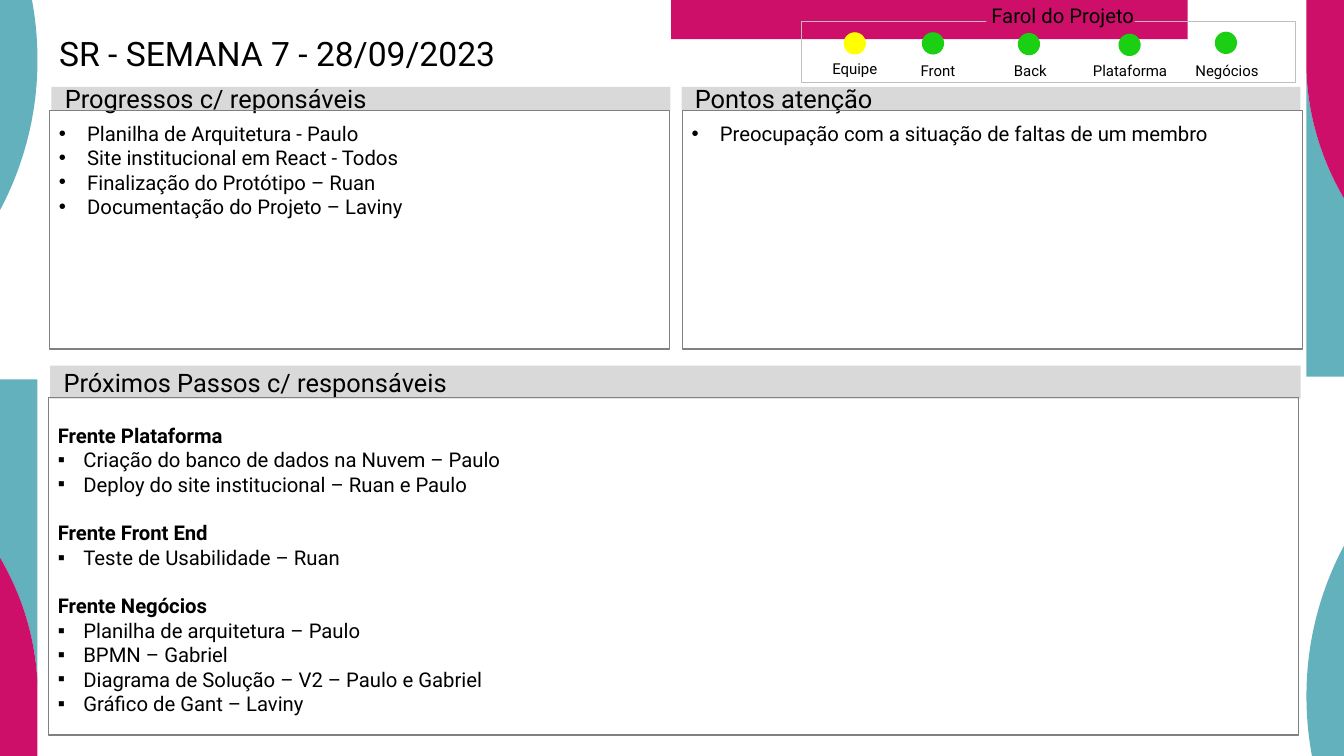
from dataclasses import dataclass

from lxml.etree import SubElement
from pptx import Presentation
from pptx.dml.color import RGBColor
from pptx.enum.shapes import MSO_SHAPE as Preset
from pptx.enum.text import MSO_ANCHOR as Anchor, PP_ALIGN as Align
from pptx.oxml.ns import qn
from pptx.util import Inches, Pt


@dataclass(frozen=True)
class Theme:
    font: str = "Roboto"
    bullet_font: str = "Arial"
    ink: str = "000000"
    teal: str = "63B1BC"
    magenta: str = "CE0F69"
    header: str = "D9D9D9"
    border: str = "808080"
    soft_border: str = "BFBFBF"
    green: str = "1BCF13"
    yellow: str = "FFFF00"
    title_size: float = 26.5
    header_size: float = 20
    body_size: float = 16
    label_size: float = 11.8


THEME = Theme()
WIDTH, HEIGHT = Inches(14.7), Inches(8.27)

INSETS = ("margin_left", "margin_top", "margin_right", "margin_bottom")
TITLE_FRAME = dict(zip(INSETS, (Pt(8.4), 0, Pt(8.4), 0)),
                   vertical_anchor=Anchor.TOP, word_wrap=True)
HEADER_FRAME = dict(zip(INSETS, (Pt(10.5), Pt(5), Pt(10.5), Pt(5))),
                    vertical_anchor=Anchor.MIDDLE, word_wrap=True)
BODY_FRAME = dict(zip(INSETS, (Pt(7.3), Pt(8.4), Pt(7.3), Pt(3.7))),
                  vertical_anchor=Anchor.TOP, word_wrap=True)
LABEL_FRAME = dict(zip(INSETS, (Pt(4), Pt(4), Pt(4), 0)),
                   vertical_anchor=Anchor.BOTTOM, word_wrap=False)

LIGHTS = [
    ("Equipe", THEME.yellow, 62.82, 4.35, 60.27, 7.86),
    ("Front", THEME.green, 68.64, 4.35, 66.46, 8.1),
    ("Back", THEME.green, 75.78, 4.45, 73.33, 8.1),
    ("Plataforma", THEME.green, 83.27, 4.55, 80.75, 8.1),
    ("Negócios", THEME.green, 90.44, 4.28, 87.96, 8.1),
]
PROGRESS = [
    "Planilha de Arquitetura - Paulo",
    "Site institucional em React - Todos",
    "Finalização do Protótipo – Ruan",
    "Documentação do Projeto – Laviny",
]
CONCERNS = ["Preocupação com a situação de faltas de um membro"]
NEXT_STEPS = {
    "Frente Plataforma": [
        "Criação do banco de dados na Nuvem – Paulo",
        "Deploy do site institucional – Ruan e Paulo",
    ],
    "Frente Front End": ["Teste de Usabilidade – Ruan"],
    "Frente Negócios": [
        "Planilha de arquitetura – Paulo",
        "BPMN – Gabriel",
        "Diagrama de Solução – V2 – Paulo e Gabriel",
        "Gráfico de Gant – Laviny",
    ],
}


def across(share):
    return round(WIDTH * share / 100)


def down(share):
    return round(HEIGHT * share / 100)


def area(left, top, width, height):
    return across(left), down(top), across(width), down(height)


def apply(target, formats):
    for name, value in formats.items():
        setattr(target, name, value)


def paint(shape, fill=None, line=None, weight=1):
    shape.shadow.inherit = False
    if fill:
        shape.fill.solid()
        shape.fill.fore_color.rgb = RGBColor.from_string(fill)
    else:
        shape.fill.background()
    if line:
        shape.line.color.rgb = RGBColor.from_string(line)
        shape.line.width = Pt(weight)
    else:
        shape.line.fill.background()


def add_block(slide, place, preset=Preset.RECTANGLE, **colours):
    block = slide.shapes.add_shape(preset, *area(*place))
    paint(block, **colours)
    return block


def write(paragraph, text, size, bold=False, **formats):
    apply(paragraph, {"alignment": Align.LEFT, **formats})
    run = paragraph.add_run()
    run.text = text
    apply(run.font, {"name": THEME.font, "size": Pt(size), "bold": bold})
    run.font.color.rgb = RGBColor.from_string(THEME.ink)


def add_bullet(paragraph, mark, indent):
    properties = paragraph._p.get_or_add_pPr()
    properties.set("marL", str(Inches(indent)))
    properties.set("indent", str(-Inches(indent)))
    SubElement(properties, qn("a:buFont")).set("typeface", THEME.bullet_font)
    SubElement(properties, qn("a:buChar")).set("char", mark)


def next_paragraph(frame):
    return frame.add_paragraph() if frame.text else frame.paragraphs[0]


def add_items(frame, items, mark, indent):
    for item in items:
        paragraph = next_paragraph(frame)
        write(paragraph, item, THEME.body_size)
        add_bullet(paragraph, mark, indent)


def add_panel(slide, heading, header_place, body_place):
    header = add_block(slide, header_place, fill=THEME.header).text_frame
    apply(header, HEADER_FRAME)
    write(header.paragraphs[0], heading, THEME.header_size)
    body = add_block(slide, body_place, line=THEME.border).text_frame
    apply(body, BODY_FRAME)
    return body


def add_next_steps(slide):
    body = add_panel(slide, "Próximos Passos c/ responsáveis",
                     (3.74, 48.37, 93.03, 4.35), (3.61, 52.6, 92.99, 44.62))
    body.vertical_anchor = Anchor.MIDDLE
    for front, steps in NEXT_STEPS.items():
        gap = Pt(19.2) if body.text else Pt(0)
        write(next_paragraph(body), front, THEME.body_size, bold=True, space_before=gap)
        add_items(body, steps, "▪", 0.28)


def add_caption(frame, text, size):
    apply(frame, LABEL_FRAME)
    write(frame.paragraphs[0], text, size, alignment=Align.CENTER)


def add_light(slide, name, colour, left, top, label_left, label_top):
    add_block(slide, (left, top, 1.56, 2.78), Preset.OVAL, fill=colour, line=colour)
    label = slide.shapes.add_textbox(*area(label_left, label_top, 6.67, 2.42))
    add_caption(label.text_frame, name, THEME.label_size)


def add_status(slide):
    add_block(slide, (59.66, 2.78, 36.73, 8.16), line=THEME.soft_border, weight=0.5)
    heading = add_block(slide, (73.4, 0.85, 11.02, 2.78), fill=THEME.magenta)
    add_caption(heading.text_frame, "Farol do Projeto", THEME.body_size)
    heading.text_frame.margin_left = Pt(7.5)
    for light in LIGHTS:
        add_light(slide, *light)


def bend(outline, first):
    segments = list(outline._element.iter(qn("a:lnTo")))[first:first + 3]
    cubic = segments[0].getparent().makeelement(qn("a:cubicBezTo"), {})
    segments[0].addprevious(cubic)
    for segment in segments:
        cubic.append(segment[0])
        segment.getparent().remove(segment)


def add_outline(slide, points, bends, colour):
    corners = [(across(x), down(y)) for x, y in points]
    builder = slide.shapes.build_freeform(*corners[0])
    builder.add_line_segments(corners[1:], close=True)
    outline = builder.convert_to_shape()
    for first in sorted(bends, reverse=True):
        bend(outline, first)
    paint(outline, fill=colour)


def add_edges(slide):
    arc = [(0, 73.76), (1.63, 78.72), (2.65, 84.4), (2.79, 90.45)]
    lens = [(2.38, 0), (0, 0), (0, 27.81), (1.77, 21.89), (2.79, 15.11), (2.79, 7.98),
            (2.79, 5.2), (2.65, 2.54), (2.38, 0)]
    column = [(2.79, 50.18), (0, 50.18), *arc]
    foot = [*arc, (2.79, 100), (0, 100)]
    edges = [(lens, (2, 5), THEME.teal), (column, (2,), THEME.teal), (foot, (0,), THEME.magenta)]
    for points, bends, colour in edges:
        add_outline(slide, points, bends, colour)
        add_outline(slide, [(100 - x, 100 - y) for x, y in points], bends, colour)
    add_block(slide, (49.93, 0, 38.44, 5.2), fill=THEME.magenta)


def set_title(slide, text):
    title = slide.shapes.title
    apply(title, dict(zip(("left", "top", "width", "height"), area(3.61, 4.96, 90, 10.64))))
    apply(title.text_frame, TITLE_FRAME)
    write(title.text_frame.paragraphs[0], text, THEME.title_size, line_spacing=0.9)


def main():
    deck = Presentation()
    apply(deck, {"slide_width": WIDTH, "slide_height": HEIGHT})
    slide = deck.slides.add_slide(deck.slide_layouts[5])
    add_edges(slide)
    set_title(slide, "SR - SEMANA 7 - 28/09/2023")
    progress = add_panel(slide, "Progressos c/ reponsáveis",
                         (3.83, 11.49, 46.05, 3.14), (3.69, 14.6, 46.12, 31.56))
    add_items(progress, PROGRESS, "•", 0.31)
    concerns = add_panel(slide, "Pontos atenção",
                         (50.71, 11.49, 46.05, 3.14), (50.77, 14.6, 46.12, 31.56))
    add_items(concerns, CONCERNS, "•", 0.31)
    add_next_steps(slide)
    add_status(slide)
    deck.save("out.pptx")


if __name__ == "__main__":
    main()
